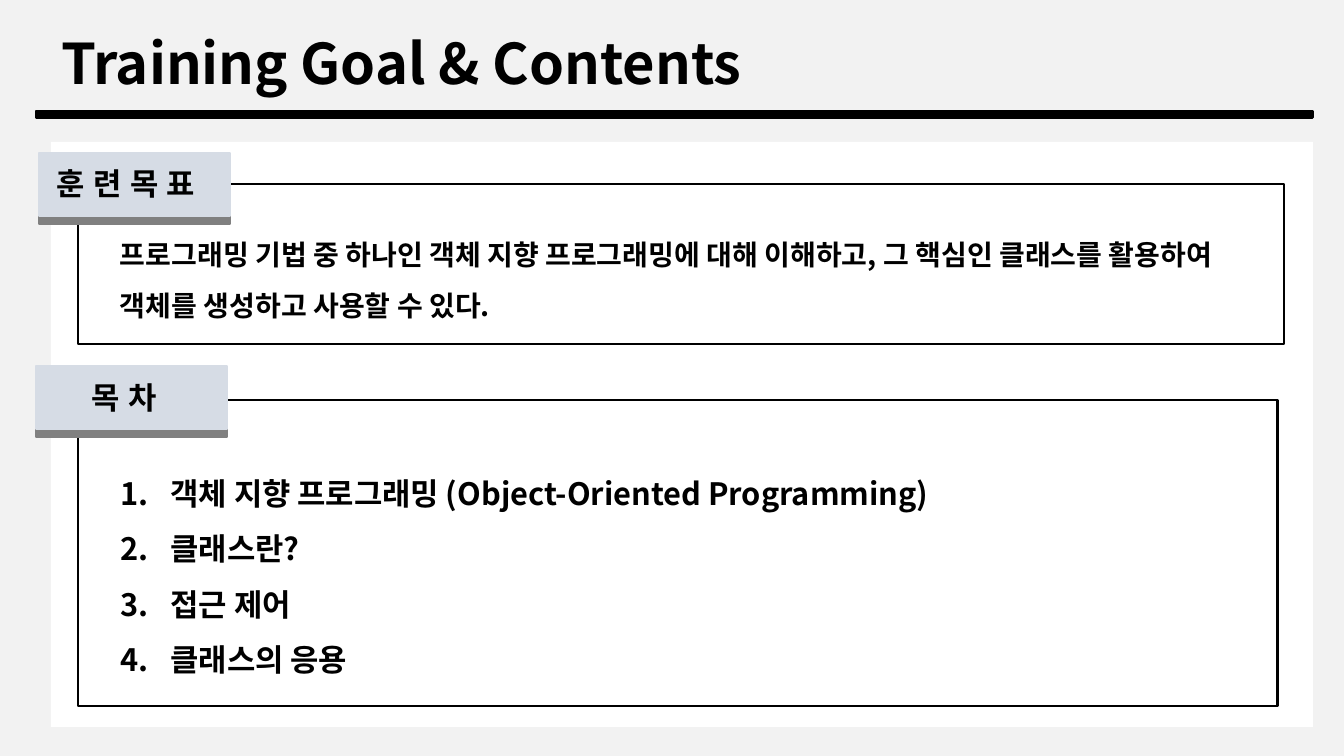
from dataclasses import dataclass

import pptx
import pptx.dml.color
import pptx.enum.shapes
import pptx.enum.text
import pptx.oxml.ns
import pptx.util
from lxml import etree

PX = 914400 / 100.8
FONT = "Noto Sans CJK KR"
BLACK, WHITE, PALE, TAG, SHADE = "000000", "FFFFFF", "F2F2F2", "D6DCE5", "808080"
MSO_TEXT = pptx.enum.text
Area = tuple[int, int, int, int]


@dataclass(frozen=True)
class Block:
    """A rectangle with optional fill, outline and hard lower shadow."""
    area: Area
    fill: str | None = None
    line: str | None = None
    width: float = 2
    raised: bool = False


@dataclass(frozen=True)
class Section:
    """An outlined frame with a raised heading tag on its top left corner."""
    frame: Area
    tag: Area
    heading: str
    heading_area: Area


SECTIONS = [
    Section((78, 184, 1206, 160), (39, 153, 191, 63), "훈련목표", (47, 160, 178, 47)),
    Section((78, 400, 1200, 306), (36, 366, 191, 63), "목차", (82, 374, 99, 47)),
]
GOAL = ("프로그래밍 기법 중 하나인 객체 지향 프로그래밍에 대해 이해하고, "
        "그 핵심인 클래스를 활용하여 객체를 생성하고 사용할 수 있다.")
CONTENTS = ["객체 지향 프로그래밍 (Object-Oriented Programming)",
            "클래스란?", "접근 제어", "클래스의 응용"]


def emu(pixels: float) -> int:
    """Turn pixels into EMU."""
    return round(pixels * PX)


def paint(color_owner, color: str) -> None:
    """Give a fill a solid colour from a hex string."""
    color_owner.solid()
    color_owner.fore_color.rgb = pptx.dml.color.RGBColor.from_string(color)


def add_node(parent, tag: str, **attributes: str):
    """Append a DrawingML element to a parent."""
    return etree.SubElement(parent, pptx.oxml.ns.qn(tag), attributes)


def draw_block(slide, block: Block) -> None:
    """Draw one rectangle."""
    rect = slide.shapes.add_shape(pptx.enum.shapes.MSO_SHAPE.RECTANGLE,
                                  *map(emu, block.area))
    rect.shadow.inherit = False
    for part, color in ((rect.fill, block.fill), (rect.line.fill, block.line)):
        if color:
            paint(part, color)
        else:
            part.background()
    if block.line:
        rect.line.width = pptx.util.Pt(block.width)
    if block.raised:
        effects = rect.element.spPr.find(pptx.oxml.ns.qn("a:effectLst"))
        shadow = add_node(effects, "a:outerShdw", blurRad="0", dist="76200",
                          dir="5400000", algn="t", rotWithShape="0")
        add_node(shadow, "a:srgbClr", val=SHADE)


def write(holder, area: Area, lines: list[str], size: int, wrap: bool = True,
          spacing: float = 1, gap: float = 0, tracking: int = 0,
          numbered: bool = False) -> None:
    """Place a text holder in front and fill it with bold black paragraphs."""
    holder.element.getparent().append(holder.element)
    for side, pixels in zip(("left", "top", "width", "height"), area):
        setattr(holder, side, emu(pixels))
    frame = holder.text_frame
    frame.text = "\n".join(lines)
    frame_format = {"word_wrap": wrap, "auto_size": MSO_TEXT.MSO_AUTO_SIZE.NONE,
                    "vertical_anchor": MSO_TEXT.MSO_ANCHOR.TOP}
    paragraph_format = {"alignment": MSO_TEXT.PP_ALIGN.LEFT, "line_spacing": spacing,
                        "space_before": pptx.util.Pt(gap),
                        "space_after": pptx.util.Pt(gap)}
    font_format = {"name": FONT, "size": pptx.util.Pt(size), "bold": True}
    for name, value in frame_format.items():
        setattr(frame, name, value)
    for paragraph in frame.paragraphs:
        for name, value in paragraph_format.items():
            setattr(paragraph, name, value)
        if numbered:
            properties = paragraph._p.get_or_add_pPr()
            properties.set("marL", "457200")
            properties.set("indent", "-457200")
            add_node(properties, "a:buFont", typeface="+mj-lt")
            add_node(properties, "a:buAutoNum", type="arabicPeriod")
        for run in paragraph.runs:
            for name, value in font_format.items():
                setattr(run.font, name, value)
            paint(run.font.fill, BLACK)
            run_properties = run._r.get_or_add_rPr()
            add_node(run_properties, "a:ea", typeface=FONT)
            if tracking:
                run_properties.set("spc", str(tracking * 100))


def add_text(slide, area: Area, text: str, size: int, **options) -> None:
    """Add a text box with one paragraph."""
    write(slide.shapes.add_textbox(0, 0, 0, 0), area, [text], size, **options)


def build() -> None:
    """Build and save the slide."""
    deck = pptx.Presentation()
    deck.slide_width, deck.slide_height = emu(1344), emu(756)
    slide = deck.slides.add_slide(deck.slide_layouts[1])
    paint(slide.background.fill, PALE)

    draw_block(slide, Block((36, 111, 1277, 7), BLACK, BLACK))
    draw_block(slide, Block((51, 142, 1262, 585), WHITE))
    write(slide.shapes.title, (51, 23, 848, 78),
          ["Training\u00a0Goal\u00a0& Contents"], 40)
    for section in SECTIONS:
        draw_block(slide, Block(section.frame, line=BLACK))
        draw_block(slide, Block(section.tag, TAG, TAG, 1.5, raised=True))
        add_text(slide, section.heading_area, section.heading, 22,
                 wrap=False, tracking=6)
    write(slide.placeholders[1], (110, 451, 1126, 225), CONTENTS, 22,
          spacing=1.5, numbered=True)
    add_text(slide, (110, 216, 1126, 104), GOAL, 20, spacing=1.5, gap=2.8)
    deck.save("out.pptx")


build()
